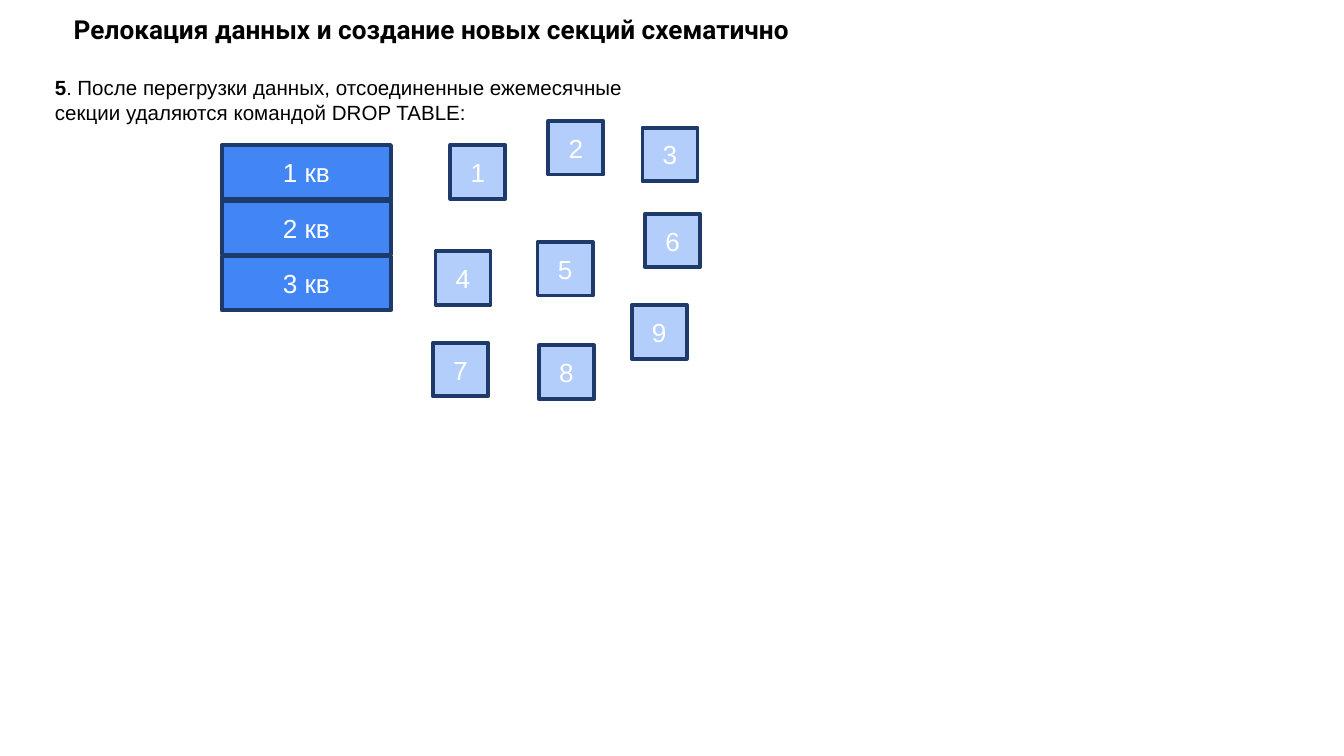
from dataclasses import dataclass

from pptx import Presentation
from pptx import util as u
from pptx.dml.color import RGBColor
from pptx.enum import shapes, text


@dataclass(frozen=True)
class Theme:
    black: RGBColor = RGBColor.from_string("000000")
    white: RGBColor = RGBColor.from_string("FFFFFF")
    quarter: RGBColor = RGBColor.from_string("4285F4")
    month: RGBColor = RGBColor.from_string("B3CEFB")
    outline: RGBColor = RGBColor.from_string("1D3A6B")
    heading_font: str = "Roboto"
    body_font: str = "Arial"
    large: u.Pt = u.Pt(14)
    body: u.Pt = u.Pt(11)
    small: u.Pt = u.Pt(10.5)
    border: u.Pt = u.Pt(2)


THEME = Theme()
SLIDE_WIDTH = 10
SLIDE_HEIGHT = SLIDE_WIDTH * 9 / 16
SECTION_HEIGHT = 0.4
MONTH_WIDTH = 0.41
# Month number -> offset inside the detached sections region
MONTH_OFFSETS = {
    1: (0.13, 0.18), 2: (0.86, 0), 3: (1.56, 0.05),
    4: (0.02, 0.97), 5: (0.78, 0.9), 6: (1.58, 0.69),
    7: (0, 1.65), 8: (0.79, 1.67), 9: (1.48, 1.37),
}


def add_run(paragraph, words, color, **format_values):
    run = paragraph.add_run()
    run.text = words
    run.font.color.rgb = color
    values = {"name": THEME.body_font, "size": THEME.large, "bold": False}
    for name, value in (values | format_values).items():
        setattr(run.font, name, value)


def add_text_box(slide, box, inset_y):
    frame = slide.shapes.add_textbox(*map(u.Inches, box)).text_frame
    values = {"word_wrap": True, "margin_top": u.Inches(inset_y),
              "margin_bottom": u.Inches(inset_y)}
    for name, value in values.items():
        setattr(frame, name, value)
    return frame


def add_section(slide, box, label, color):
    shape = slide.shapes.add_shape(shapes.MSO_SHAPE.RECTANGLE, *map(u.Inches, box))
    shape.shadow.inherit = False
    shape.fill.solid()
    shape.fill.fore_color.rgb = color
    shape.line.color.rgb = THEME.outline
    shape.line.width = THEME.border
    shape.text_frame.vertical_anchor = text.MSO_ANCHOR.MIDDLE
    paragraph = shape.text_frame.paragraphs[0]
    paragraph.alignment = text.PP_ALIGN.CENTER
    add_run(paragraph, label, THEME.white)


def add_title(slide, box):
    frame = add_text_box(slide, box, 0.1)
    frame.margin_left = frame.margin_right = u.Inches(0.1)
    add_run(frame.paragraphs[0], "Релокация данных и создание новых секций схематично",
            THEME.black, name=THEME.heading_font, bold=True)


def add_step(slide, box):
    frame = add_text_box(slide, box, 0.05)
    frame.auto_size = text.MSO_AUTO_SIZE.SHAPE_TO_FIT_TEXT
    paragraph = frame.paragraphs[0]
    add_run(paragraph, "5", THEME.black, size=THEME.body, bold=True)
    add_run(paragraph, ".", THEME.black, size=THEME.small)
    add_run(paragraph, " После перегрузки данных, отсоединенные ежемесячные "
            "секции удаляются командой DROP TABLE:", THEME.black, size=THEME.body)


def add_quarters(slide, box, count=3):
    left, top, width, height = box
    pitch = (height - SECTION_HEIGHT) / (count - 1)
    for index in range(count):
        add_section(slide, (left, top + index * pitch, width, SECTION_HEIGHT),
                    f"{index + 1} кв", THEME.quarter)


def add_months(slide, origin):
    left, top = origin
    for month, (dx, dy) in MONTH_OFFSETS.items():
        add_section(slide, (left + dx, top + dy, MONTH_WIDTH, SECTION_HEIGHT),
                    str(month), THEME.month)


def main():
    presentation = Presentation()
    presentation.slide_width = u.Inches(SLIDE_WIDTH)
    presentation.slide_height = u.Inches(SLIDE_HEIGHT)
    slide = presentation.slides.add_slide(presentation.slide_layouts[6])

    # Heading and step description
    add_title(slide, (0.45, 0, 6.12, 0.36))
    add_step(slide, (0.31, 0.51, 4.5, 0.47))

    # Quarterly sections and detached monthly sections
    add_quarters(slide, (1.65, 1.08, 1.26, 1.23))
    add_months(slide, (3.22, 0.9))

    presentation.save("out.pptx")


if __name__ == "__main__":
    main()
